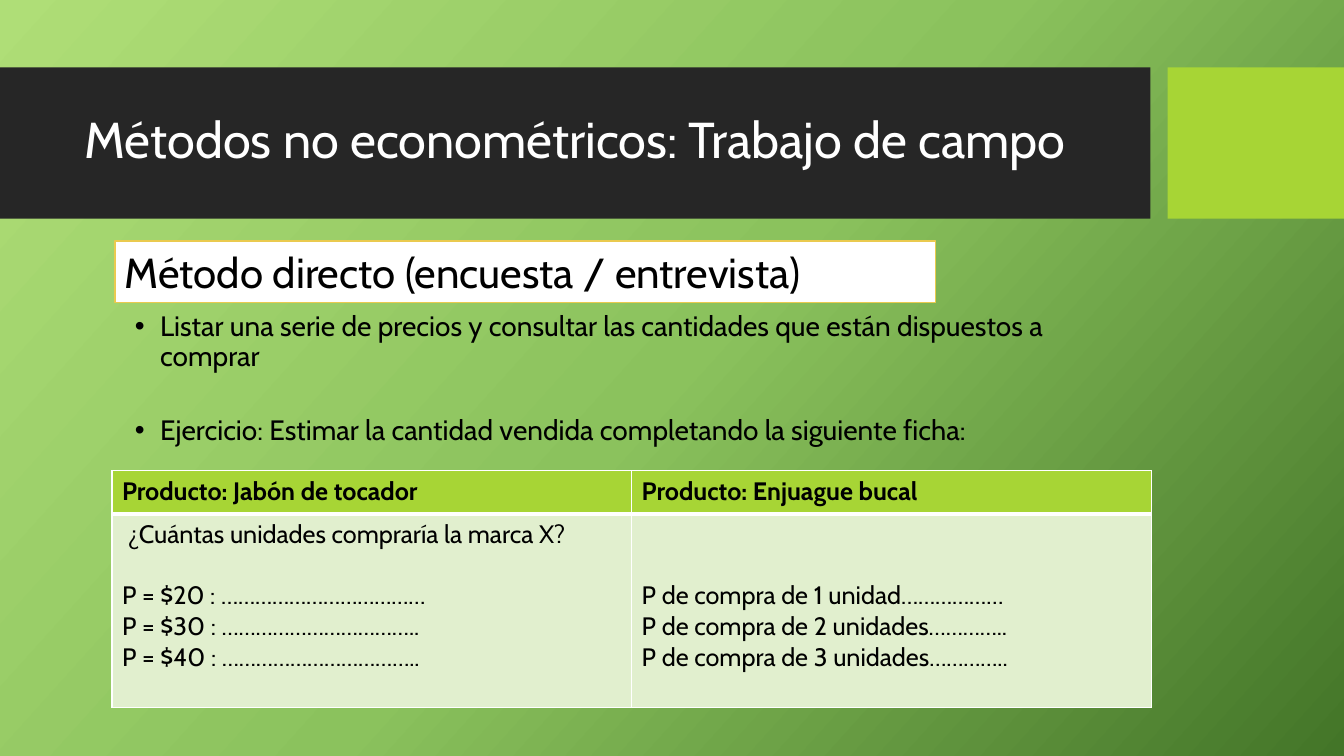
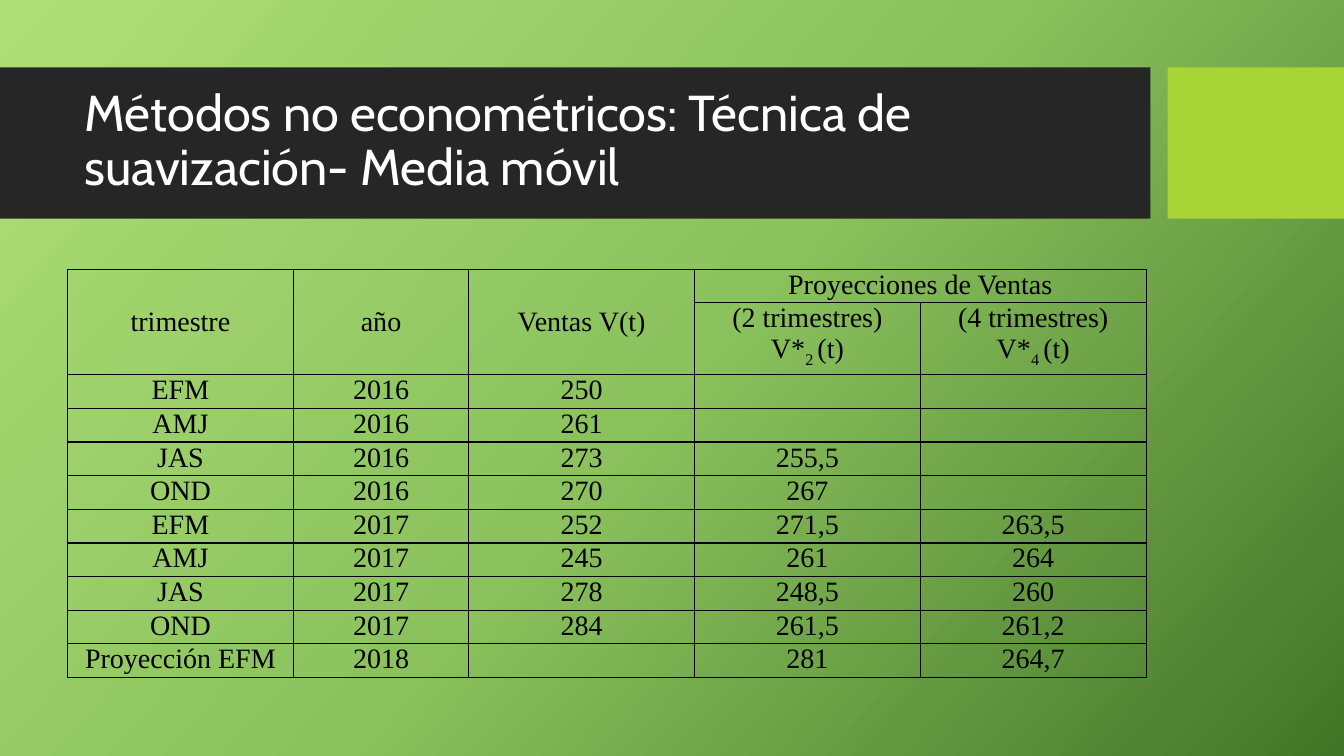
import pptx
import pptx.dml.color
import pptx.enum.shapes
import pptx.enum.text
import pptx.oxml
import pptx.oxml.ns
import pptx.util
import copy
import lxml.etree

WIDTH, HEIGHT = 13.33, 7.5
BLACK, WHITE = "000000", "FFFFFF"
DARK, LIME, PALE, GOLD = "262626", "A7D535", "E1EFCE", "EACA4F"
BACKDROP = [(0, "AFDE77"), (0.5, "8BC25D"), (1, "437528")]
SANS, SERIF = "Cabin", "Times New Roman"
ALIGN = pptx.enum.text.PP_ALIGN
ANCHOR = pptx.enum.text.MSO_ANCHOR
HEADING_AREA = (5.55, 10.93, 78.85, 15.73)


def color(value):
    return pptx.dml.color.RGBColor.from_string(value)


def across(percent):
    return pptx.util.Inches(WIDTH * percent / 100)


def down(percent):
    return pptx.util.Inches(HEIGHT * percent / 100)


def place(left, top, width, height):
    return across(left), down(top), across(width), down(height)


def add_bullet(para):
    props = para._p.get_or_add_pPr()
    props.set("marL", str(pptx.util.Inches(0.75)))
    props.set("indent", str(pptx.util.Inches(-0.25)))
    for tag, key, value in [("a:buFont", "typeface", "Arial"), ("a:buChar", "char", "•")]:
        mark = lxml.etree.SubElement(props, pptx.oxml.ns.qn(tag))
        mark.set(key, value)


def write(frame, paragraphs, size=18, font=SANS, ink=BLACK, bold=False,
          align=ALIGN.LEFT, spacing=1.0, second_gap=0, bullet=False):
    for index, content in enumerate(paragraphs):
        para = frame.paragraphs[0] if index == 0 else frame.add_paragraph()
        para.alignment = align
        para.line_spacing = spacing
        para.space_before = pptx.util.Pt(second_gap if index == 1 else 0)
        if bullet:
            add_bullet(para)
        pieces = [(content, 0)] if isinstance(content, str) else content
        for text, baseline in pieces:
            span = para.add_run()
            span.text = text
            span.font.size = pptx.util.Pt(size)
            span.font.name = font
            span.font.bold = bold
            span.font.color.rgb = color(ink)
            if baseline:
                span._r.get_or_add_rPr().set("baseline", str(baseline * 1000))


def add_text(page, area, paragraphs, anchor=ANCHOR.TOP, **style):
    frame = page.shapes.add_textbox(*place(*area)).text_frame
    frame.word_wrap = True
    frame.vertical_anchor = anchor
    write(frame, paragraphs, **style)


def add_box(page, area, fill, line=None):
    box = page.shapes.add_shape(pptx.enum.shapes.MSO_SHAPE.RECTANGLE, *place(*area))
    box.shadow.inherit = False
    box.fill.solid()
    box.fill.fore_color.rgb = color(fill)
    if line:
        box.line.color.rgb = color(line)
        box.line.width = pptx.util.Pt(1)
    else:
        box.line.fill.background()
    return box


def paint_backdrop(page):
    fill = page.background.fill
    fill.gradient()
    fill.gradient_angle = 318
    stops = fill.gradient_stops
    last = stops[1]._gs
    last.addnext(copy.deepcopy(last))
    for stop, (position, shade) in zip(fill.gradient_stops, BACKDROP):
        stop.position = position
        stop.color.rgb = color(shade)


def add_page(deck, heading):
    page = deck.slides.add_slide(deck.slide_layouts[6])
    paint_backdrop(page)
    add_box(page, (0, 8.93, 85.6, 20), DARK)
    add_box(page, (86.87, 8.93, 13.13, 20), LIME)
    add_text(page, HEADING_AREA, [heading], anchor=ANCHOR.MIDDLE,
             size=36, ink=WHITE, spacing=0.9)
    return page


def set_borders(cell, ink, bottom=1, top=1):
    props = cell._tc.get_or_add_tcPr()
    for side, width in [("L", 1), ("R", 1), ("T", top), ("B", bottom)]:
        props.append(pptx.oxml.parse_xml(
            f'<a:ln{side} {pptx.oxml.ns.nsdecls("a")} w="{pptx.util.Pt(width)}">'
            f'<a:solidFill><a:srgbClr val="{ink}"/></a:solidFill></a:ln{side}>'))


def add_grid(page, left, top, columns, rows):
    area = place(left, top, sum(columns), sum(rows))
    table = page.shapes.add_table(len(rows), len(columns), *area).table
    table.first_row = table.horz_banding = False
    for column, share in zip(table.columns, columns):
        column.width = across(share)
    for row, share in zip(table.rows, rows):
        row.height = down(share)
    return table


def build_survey(deck):
    page = add_page(deck, "Métodos no econométricos: Trabajo de campo")
    add_text(page, (5.55, 40.67, 78.85, 20), [
        "Listar una serie de precios y consultar las cantidades que están dispuestos a comprar",
        "Ejercicio: Estimar la cantidad vendida completando la siguiente ficha:",
    ], size=20, spacing=0.9, second_gap=31, bullet=True)

    table = add_grid(page, 8.33, 62.27, [38.67] * 2, [5.73, 25.6])
    products = ["Producto: Jabón de tocador", "Producto: Enjuague bucal"]
    answers = [
        [" ¿Cuántas unidades compraría la marca X?",
         "P = $20 : ………………………………",
         "P = $30 : ……………………………..",
         "P = $40 : …………………………….."],
        ["P de compra de 1 unidad………………",
         "P de compra de 2 unidades…………..",
         "P de compra de 3 unidades………….."],
    ]
    for index, (product, lines) in enumerate(zip(products, answers)):
        header, body = table.cell(0, index), table.cell(1, index)
        set_borders(header, WHITE, bottom=3)
        set_borders(body, WHITE, top=3)
        for cell, fill in [(header, LIME), (body, PALE)]:
            cell.fill.solid()
            cell.fill.fore_color.rgb = color(fill)
        write(header.text_frame, [product], bold=True)
        write(body.text_frame, lines, second_gap=22 if index == 0 else 0)
    table.cell(1, 1).margin_top = pptx.util.Inches(0.66)

    label = add_box(page, (8.55, 31.87, 61.07, 8.13), WHITE, line=GOLD)
    label.text_frame.word_wrap = True
    write(label.text_frame, ["Método directo (encuesta / entrevista)"], size=30)


def projection_header(quarters):
    return [f"({quarters} trimestres)", [("V*", 0), (f"{quarters} ", -25), ("(t)", 0)]]


def build_moving_average(deck):
    page = add_page(deck, "Métodos no econométricos: Técnica de suavización- Media móvil")
    records = [
        ["trimestre", "año", "Ventas V(t)", "Proyecciones de Ventas", ""],
        ["", "", "", projection_header(2), projection_header(4)],
        ["EFM", "2016", "250", "", ""],
        ["AMJ", "2016", "261", "", ""],
        ["JAS", "2016", "273", "255,5", ""],
        ["OND", "2016", "270", "267", ""],
        ["EFM", "2017", "252", "271,5", "263,5"],
        ["AMJ", "2017", "245", "261", "264"],
        ["JAS", "2017", "278", "248,5", "260"],
        ["OND", "2017", "284", "261,5", "261,2"],
        ["Proyección EFM", "2018", "", "281", "264,7"],
    ]
    columns = [16.8, 13.05, 16.8, 16.8, 16.8]
    rows = [4.4, 8.8] + [4.4] * (len(records) - 2)
    table = add_grid(page, 5.03, 35.6, columns, rows)
    for row, record in enumerate(records):
        for column, content in enumerate(record):
            cell = table.cell(row, column)
            cell.margin_left = cell.margin_right = pptx.util.Inches(0.05)
            cell.margin_top = cell.margin_bottom = 0
            set_borders(cell, BLACK)
            cell.fill.background()
            if content:
                lines = [content] if isinstance(content, str) else content
                write(cell.text_frame, lines, size=20, font=SERIF, align=ALIGN.CENTER)
    for column in range(3):
        table.cell(0, column).merge(table.cell(1, column))
        table.cell(0, column).vertical_anchor = ANCHOR.MIDDLE
    table.cell(0, 3).merge(table.cell(0, 4))


def main():
    deck = pptx.Presentation()
    deck.slide_width = pptx.util.Inches(WIDTH)
    deck.slide_height = pptx.util.Inches(HEIGHT)
    build_survey(deck)
    build_moving_average(deck)
    deck.save("out.pptx")


if __name__ == "__main__":
    main()
